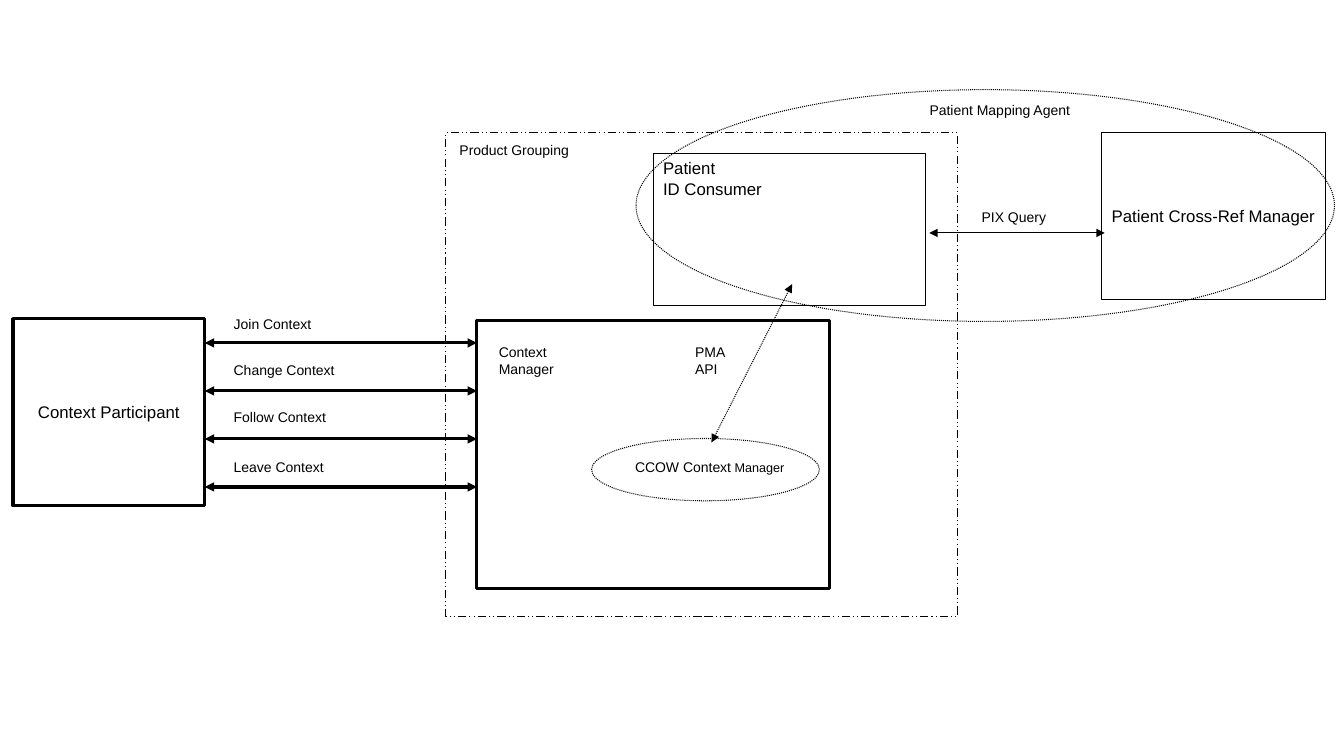
from lxml import etree
from pptx import Presentation
from pptx.dml.color import RGBColor
from pptx.enum import dml, shapes, text
from pptx.oxml.ns import qn
from pptx.util import Cm, Pt

INK, PAPER = "000000", "FFFFFF"
THIN, THICK = 0.75, 2.25
RECT, OVAL = shapes.MSO_SHAPE.RECTANGLE, shapes.MSO_SHAPE.OVAL
DOTS, DASHES = dml.MSO_LINE.ROUND_DOT, dml.MSO_LINE.DASH_DOT_DOT
LEFT, MID = text.PP_ALIGN.LEFT, text.PP_ALIGN.CENTER

# kind, (left, top, width, height) in cm, fill, line width, dash, lines, align
BOXES = [
    (RECT, (16.46, 3.86, 6.86, 3.84), PAPER, THIN, None,
     ["Patient", "ID Consumer"], LEFT),
    (RECT, (0.33, 8.03, 4.83, 4.72), PAPER, THICK, None,
     ["Context Participant"], MID),
    (RECT, (12.01, 8.08, 8.89, 6.76), PAPER, THICK, None, [], LEFT),
    (RECT, (27.76, 3.35, 5.64, 4.19), PAPER, THIN, None,
     ["Patient Cross-Ref Manager"], MID),
    (OVAL, (14.91, 11.05, 5.74, 1.57), PAPER, THIN, DOTS, [], LEFT),
    (RECT, (11.23, 3.35, 12.9, 12.19), None, THIN, DASHES, [], LEFT),
    (OVAL, (16.03, 2.26, 17.6, 5.84), None, THIN, DOTS, [], LEFT),
]

# label and its top in cm, one for each arrow
CALLS = [("Join Context", 7.82), ("Change Context", 8.99),
         ("Follow Context", 10.16), ("Leave Context", 11.43)]
CALL_TOP, CALL_STEP = 8.64, 1.21

# (left, top, width, height) in cm, lines, align
LABELS = [
    ((21.97, 2.44, 6.45, 1.57), ["Patient Mapping Agent"], MID),
    ((17.27, 8.53, 1.4, 1.57), ["PMA API"], LEFT),
    ((24.49, 5.13, 2.21, 0.89), ["PIX Query"], LEFT),
    ((11.33, 3.43, 3.38, 1.7), ["Product Grouping"], LEFT),
    ((12.32, 8.53, 2.41, 1.57), ["Context", "Manager"], LEFT),
]
CCOW = (14.86, 11.43, 6.05, 1.57)

# start x, start y, end x, end y in cm, width, dash
ARROWS = [
    (23.42, 5.87, 27.84, 5.87, THIN, None),
    (17.93, 11.15, 19.96, 7.16, THIN, DOTS),
]

deck = Presentation()
deck.slide_width, deck.slide_height = Cm(33.87), Cm(19.05)
slide = deck.slides.add_slide(deck.slide_layouts[6])


def paint(target, code):
    target.solid()
    target.fore_color.rgb = RGBColor.from_string(code)


def stroke(line, width, dash):
    paint(line.fill, INK)
    line.width = Pt(width)
    if dash:
        line.dash_style = dash


def write(frame, lines, size, align):
    frame.word_wrap = True
    for i, words in enumerate(lines):
        par = frame.paragraphs[0] if i == 0 else frame.add_paragraph()
        par.text = words
        par.alignment = align
        par.font.name, par.font.size = "Arial", Pt(size)
        paint(par.font.fill, INK)


def box(kind, place, fill, width, dash, lines, align):
    shape = slide.shapes.add_shape(kind, *map(Cm, place))
    shape.shadow.inherit = False
    if fill:
        paint(shape.fill, fill)
    else:
        shape.fill.background()
    stroke(shape.line, width, dash)
    frame = shape.text_frame
    frame.vertical_anchor = text.MSO_ANCHOR.TOP
    if align == MID:
        frame.vertical_anchor = text.MSO_ANCHOR.MIDDLE
        frame.margin_left = frame.margin_right = 0
    write(frame, lines, 12, align)


def arrow(x1, y1, x2, y2, width, dash):
    """Draw a line with a head at both ends."""
    link = slide.shapes.add_connector(
        shapes.MSO_CONNECTOR.STRAIGHT, *map(Cm, (x1, y1, x2, y2)))
    stroke(link.line, width, dash)
    props = link._element.spPr
    for end in ("a:headEnd", "a:tailEnd"):
        etree.SubElement(props.find(qn("a:ln")), qn(end), type="triangle")
    etree.SubElement(props, qn("a:effectLst"))


def label(place, lines, align):
    frame = slide.shapes.add_textbox(*map(Cm, place)).text_frame
    write(frame, lines, 10, align)
    return frame


for item in BOXES:
    box(*item)
for item in ARROWS:
    arrow(*item)
for i, (words, top) in enumerate(CALLS):
    y = CALL_TOP + i * CALL_STEP
    arrow(5.16, y, 12.02, y, THICK, None)
    label((5.64, top, 4.1, 0.65), [words], LEFT)
for item in LABELS:
    label(*item)

tail = label(CCOW, ["CCOW Context"], MID).paragraphs[0].add_run()
tail.text = " Manager"
tail.font.size = Pt(9)

deck.save("out.pptx")
